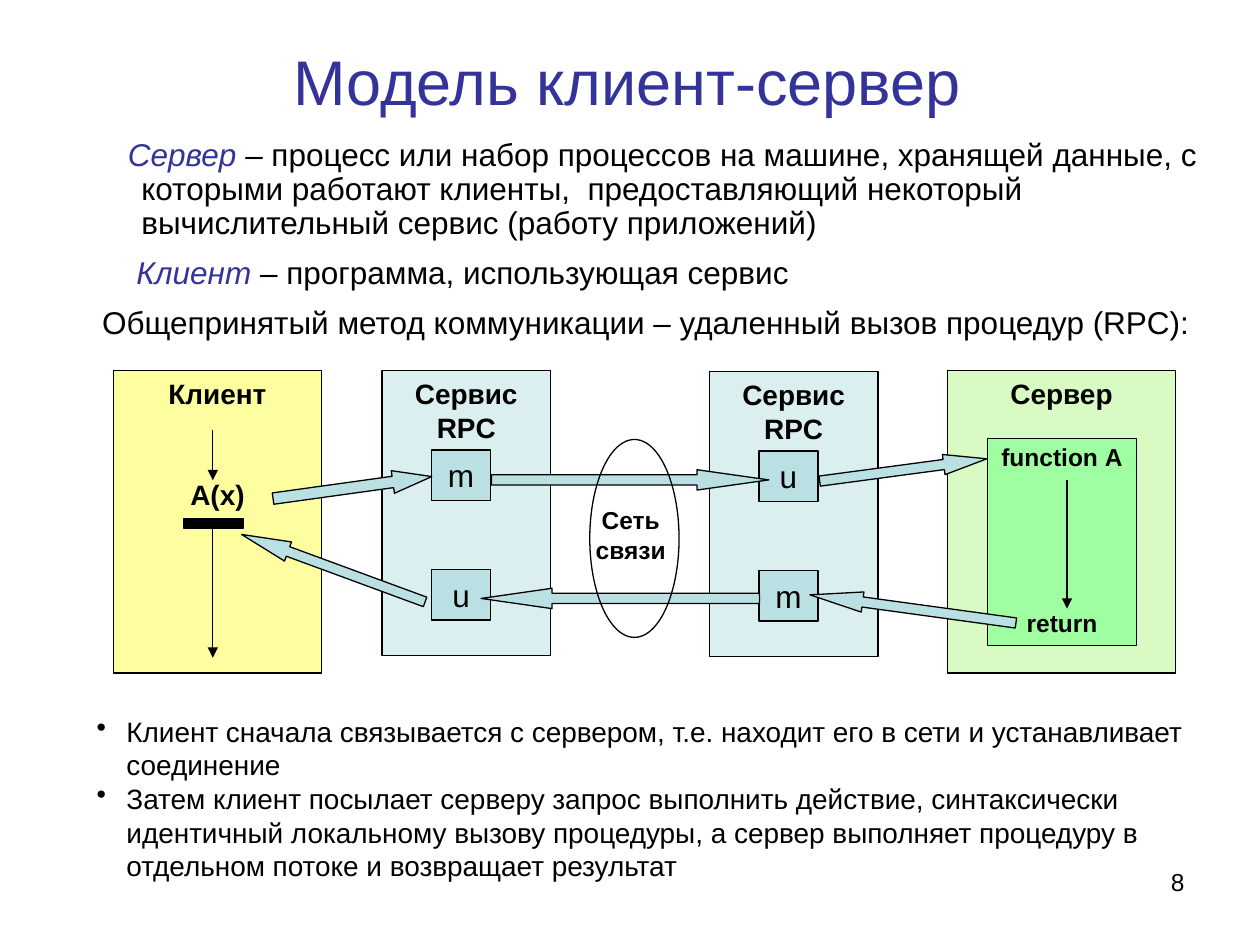
from dataclasses import dataclass

from lxml import etree
from pptx import Presentation
from pptx.dml.color import RGBColor
from pptx.enum.shapes import MSO_CONNECTOR, MSO_SHAPE
from pptx.enum.text import MSO_ANCHOR, PP_ALIGN
from pptx.oxml.ns import qn
from pptx.util import Cm, Pt

RECT, OVAL = MSO_SHAPE.RECTANGLE, MSO_SHAPE.OVAL
RIGHT_ARROW, LEFT_ARROW = MSO_SHAPE.RIGHT_ARROW, MSO_SHAPE.LEFT_ARROW
LEFT, CENTER, RIGHT = PP_ALIGN.LEFT, PP_ALIGN.CENTER, PP_ALIGN.RIGHT
TOP, MIDDLE = MSO_ANCHOR.TOP, MSO_ANCHOR.MIDDLE
STRAIGHT = MSO_CONNECTOR.STRAIGHT


@dataclass(frozen=True)
class Theme:
    font: str = "Arial"
    ink: str = "000000"
    accent: str = "333399"
    client: str = "FEFEA0"
    rpc: str = "DCEFF0"
    stub: str = "BBE0E3"
    server: str = "D9FAC2"
    function: str = "A0FEA2"
    title: int = 36
    body: int = 18
    label: int = 16
    small: int = 14
    line: float = 0.75


T = Theme()


def set_attrs(obj, values):
    for name, value in values.items():
        setattr(obj, name, value)


def box_of(at):
    return [Cm(v) for v in at]


def add_run(p, text, size, color=T.ink, **font):
    r = p.add_run()
    r.text = text
    set_attrs(r.font, {"name": T.font, "size": Pt(size), **font})
    r.font.color.rgb = RGBColor.from_string(color)


def setup_frame(sp, anchor=TOP):
    tf = sp.text_frame
    set_attrs(tf, {"word_wrap": True, "vertical_anchor": anchor,
                   "margin_left": Cm(0.25), "margin_right": Cm(0.25),
                   "margin_top": Cm(0.13), "margin_bottom": Cm(0.13)})
    return tf


def write_lines(tf, lines, size, align=CENTER, bold=False, **spacing):
    """Write one paragraph per line; spacing applies to every paragraph."""
    for i, line in enumerate(lines):
        p = tf.paragraphs[0] if i == 0 else tf.add_paragraph()
        set_attrs(p, {"alignment": align, **spacing})
        add_run(p, line, size, bold=bold)


def add_text(slide, at):
    return setup_frame(slide.shapes.add_textbox(*box_of(at)))


def add_figure(slide, kind, at, fill=None):
    sp = slide.shapes.add_shape(kind, *box_of(at))
    sp.shadow.inherit = False
    if fill:
        sp.fill.solid()
        sp.fill.fore_color.rgb = RGBColor.from_string(fill)
    else:
        sp.fill.background()
    sp.line.color.rgb = RGBColor.from_string(T.ink)
    sp.line.width = Pt(T.line)
    return sp


def add_panel(slide, at, fill, lines, size=T.label, bold=True, **spacing):
    sp = add_figure(slide, RECT, at, fill)
    write_lines(setup_frame(sp), lines, size, bold=bold, **spacing)


def add_rpc_service(slide, left, top, stubs):
    add_panel(slide, (left, top, 3.4, 5.74), T.rpc, ["Сервис RPC"])
    for name, dy in zip(stubs, (1.6, 4.01)):
        add_panel(slide, (left + 1, top + dy, 1.19, 1.02), T.stub, [name],
                  T.body, bold=False)


def add_block_arrow(slide, kind, at, head, angle=0):
    sp = add_figure(slide, kind, at, T.stub)
    sp.adjustments[1] = head
    sp.rotation = angle


def add_flow_line(slide, x, top, bottom):
    """Draw a downward line with an arrowhead."""
    c = slide.shapes.add_connector(STRAIGHT, *box_of((x, top, x, bottom)))
    c.line.color.rgb = RGBColor.from_string(T.ink)
    c.line.width = Pt(T.line)
    sp_pr = c._element.spPr
    etree.SubElement(sp_pr.find(qn("a:ln")), qn("a:tailEnd"), type="triangle")
    etree.SubElement(sp_pr, qn("a:effectLst"))


def set_indent(p, left, first, bullet=None):
    p_pr = p._p.get_or_add_pPr()
    p_pr.set("marL", str(Cm(left)))
    p_pr.set("indent", str(Cm(first)))
    if bullet:
        etree.SubElement(p_pr, qn("a:buChar"), char=bullet)


def add_title(slide, text):
    sp = slide.shapes.title
    set_attrs(sp, dict(zip(("left", "top", "width", "height"),
                           box_of((0.2, -0.28, 24.89, 3.81)))))
    tf = setup_frame(sp, MIDDLE)
    p = tf.paragraphs[0]
    p.alignment = CENTER
    add_run(p, text, T.title, T.accent)


def add_definitions(slide):
    tf = add_text(slide, (1.65, 2.51, 22.86, 5.21))
    tf.margin_top = Cm(0.3)
    definitions = [
        (-0.27, "Сервер ", "–",
         " процесс или набор процессов на машине, хранящей данные, с которыми "
         "работают клиенты,  предоставляющий некоторый вычислительный сервис "
         "(работу приложений)"),
        (-0.1, "Клиент", " – ", "программа, использующая сервис"),
        (-0.79, "", "", "Общепринятый метод коммуникации – удаленный вызов "
                        "процедур (RPC):"),
    ]
    for i, (first, term, dash, meaning) in enumerate(definitions):
        p = tf.paragraphs[0] if i == 0 else tf.add_paragraph()
        set_attrs(p, {"alignment": LEFT, "line_spacing": 0.9,
                      "space_before": Pt(4.5), "space_after": Pt(4.5)})
        set_indent(p, 0.95, first)
        if term:
            add_run(p, term, T.body, T.accent, italic=True)
            add_run(p, dash, T.body, italic=True)
        add_run(p, meaning, T.body)


def add_call_diagram(slide):
    add_panel(slide, (2.29, 7.47, 4.19, 6.1), T.client, ["Клиент", "A(x)"],
              space_before=Pt(38.5))
    add_rpc_service(slide, 7.7, 7.47, "mu")
    add_rpc_service(slide, 14.3, 7.49, "um")
    add_panel(slide, (19.1, 7.47, 4.6, 6.1), T.server, ["Сервер"])
    add_panel(slide, (19.91, 8.84, 3, 4.17), T.function,
              ["function А", "return"], T.small,
              line_spacing=0.9, space_before=Pt(80))
    add_figure(slide, RECT, (3.71, 10.46, 1.19, 0.2), T.ink)
    for line in ((4.29, 8.66, 9.68), (4.29, 10.67, 13.26), (21.51, 9.68, 12.27)):
        add_flow_line(slide, *line)
    for arrow in (
        (RIGHT_ARROW, (5.49, 9.6, 3.23, 0.46), 1.72, -7.9),
        (LEFT_ARROW, (4.75, 11.25, 3.94, 0.41), 2.43, 20.2),
        (RIGHT_ARROW, (9.91, 9.47, 5.59, 0.41), 3.53),
        (LEFT_ARROW, (9.7, 11.86, 5.61, 0.41), 3.49),
        (RIGHT_ARROW, (16.51, 9.27, 3.4, 0.41), 2.14, -7.6),
        (LEFT_ARROW, (16.31, 12.07, 4.19, 0.41), 2.61, 7.8),
    ):
        add_block_arrow(slide, *arrow)
    add_figure(slide, OVAL, (11.89, 8.86, 1.8, 3.99))
    write_lines(add_text(slide, (11.71, 10.06, 2.01, 1.45)), ["Сеть связи"],
                T.small, bold=True)


def add_steps(slide):
    tf = add_text(slide, (1.7, 14.27, 23.22, 3.66))
    write_lines(tf, [
        "Клиент сначала связывается с сервером, т.е. находит его в сети и "
        "устанавливает соединение",
        "Затем клиент посылает серверу запрос выполнить действие, синтаксически "
        "идентичный локальному вызову процедуры, а сервер выполняет процедуру в "
        "отдельном потоке и возвращает результат",
    ], T.label, LEFT)
    for p in tf.paragraphs:
        set_indent(p, 0.6, -0.6, "•")


def main():
    prs = Presentation()
    prs.slide_width, prs.slide_height = Cm(25.4), Cm(19.05)
    slide = prs.slides.add_slide(prs.slide_layouts[5])
    add_title(slide, "Модель клиент-сервер")
    add_definitions(slide)
    add_call_diagram(slide)
    add_steps(slide)
    write_lines(add_text(slide, (18.21, 17.35, 5.92, 1.32)), ["8"],
                T.small, RIGHT)
    prs.save("out.pptx")


if __name__ == "__main__":
    main()
